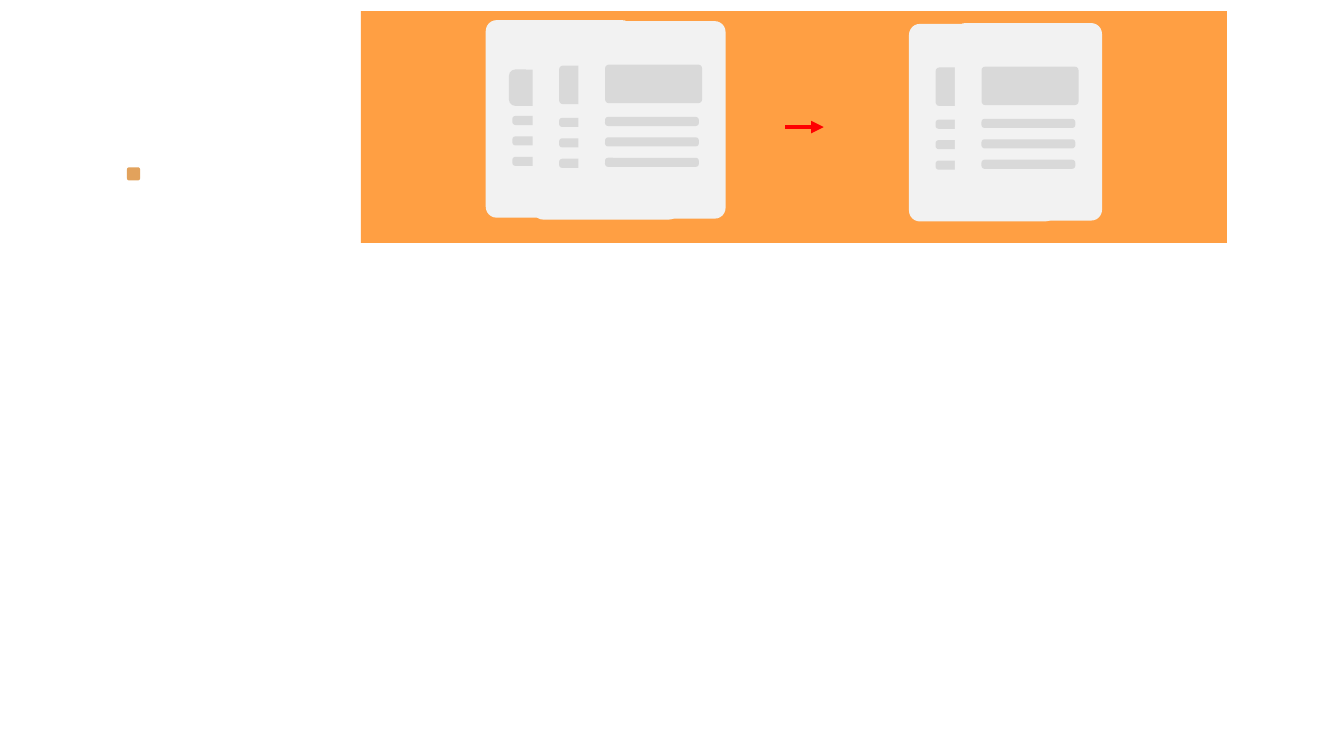
from pptx import Presentation
from pptx import util as u
from pptx.dml import color
from pptx.enum import shapes
from pptx.oxml import ns
from lxml import etree

theme = {"band": "FF9F43", "card": "F2F2F2", "block": "D9D9D9",
         "arrow": "FF0000", "mark": "E2A25C"}

deck = Presentation()
deck.slide_width, deck.slide_height = u.Pt(960), u.Pt(540)
slide = deck.slides.add_slide(deck.slide_layouts[6])


def add_box(home, box, tint, curve=None):
    """Add a plain rectangle, or a rounded one when curve is given."""
    kind = shapes.MSO_SHAPE.RECTANGLE
    if curve is not None:
        kind = shapes.MSO_SHAPE.ROUNDED_RECTANGLE
    shape = home.add_shape(kind, *map(u.Pt, box))
    if curve is not None:
        shape.adjustments[0] = curve
    shape.shadow.inherit = False
    shape.fill.solid()
    shape.fill.fore_color.rgb = color.RGBColor.from_string(theme[tint])
    shape.line.fill.background()


# Orange band
add_box(slide.shapes, (257.8, 7.9, 618.5, 165.6), "band")

# Arrow between the two stacks
arrow = slide.shapes.add_connector(
    shapes.MSO_CONNECTOR.STRAIGHT, *map(u.Pt, (560.9, 90.8, 588.4, 90.8)))
arrow.line.color.rgb = color.RGBColor.from_string(theme["arrow"])
arrow.line.width = u.Pt(3)
etree.SubElement(arrow.line._get_or_add_ln(), ns.qn("a:tailEnd"), type="triangle")
etree.SubElement(arrow._element.spPr, ns.qn("a:effectLst"))

# Stacked cards: three on the left, two on the right
wide = (19, 31.1, 69.3, 27.5, 0.096)
small = (16.6, 35.3, 36, 25.9, 0.167)
cards = [(347, 14.4, small), (380.4, 15.8, wide), (413.2, 15.1, wide),
         (649.3, 17.1, wide), (682.1, 16.5, wide)]
for left, top, head in cards:
    group = slide.shapes.add_group_shape().shapes
    add_box(group, (left, top, 105.1, 141.1), "card", 0.074)
    for row in range(3):
        add_box(group, (left + 19, top + 68.4 + 14.6 * row, 67, 6.5),
                "block", 0.335)
    x, y, width, height, curve = head
    add_box(group, (left + x, top + y, width, height), "block", curve)

# Small marker on the left
add_box(slide.shapes, (90.7, 119.5, 9.4, 9.4), "mark", 0.167)

deck.save("out.pptx")
